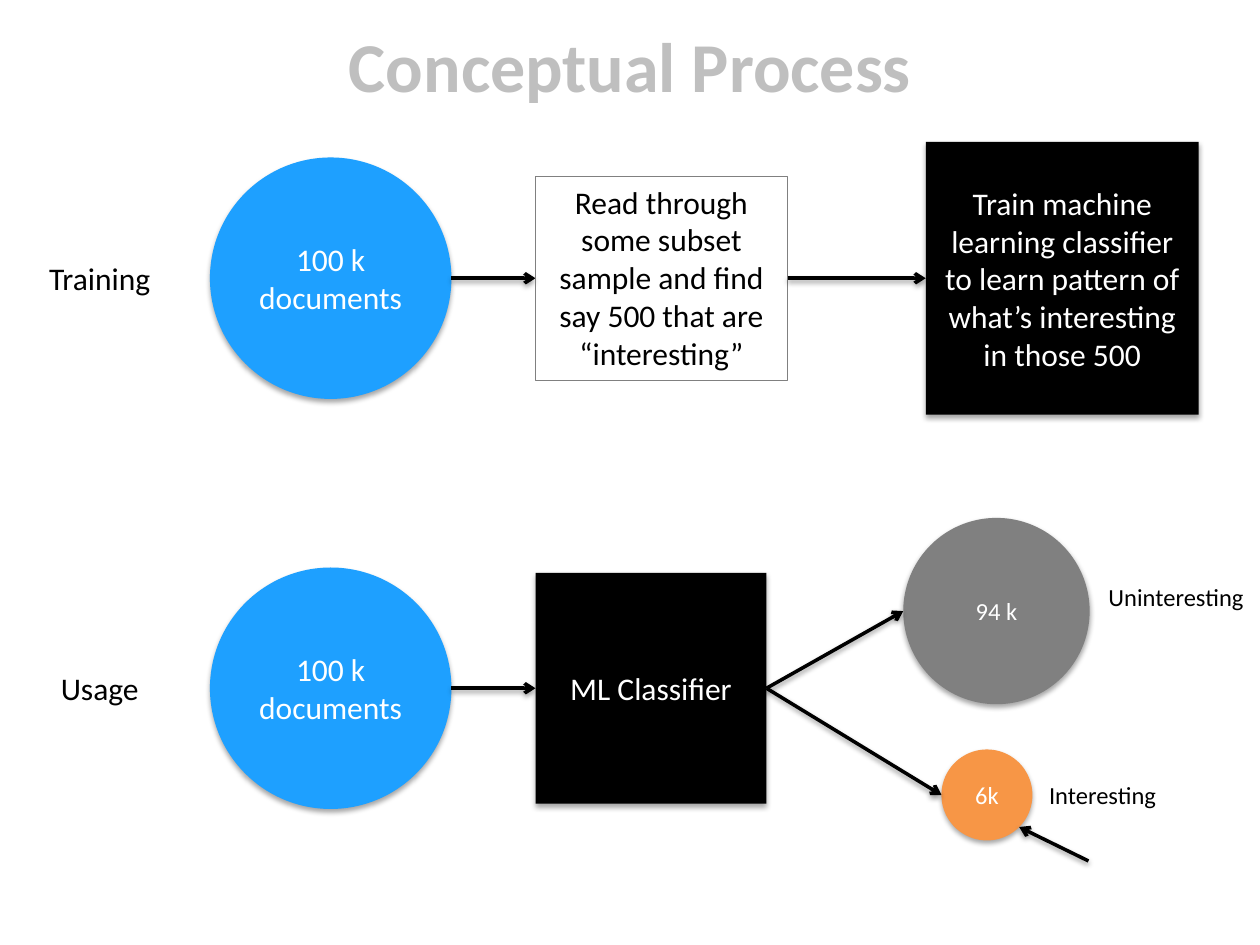
from pptx import Presentation
from pptx.dml.color import RGBColor
from pptx.enum.shapes import MSO_CONNECTOR, MSO_SHAPE
from pptx.enum.text import MSO_ANCHOR, MSO_AUTO_SIZE, PP_ALIGN
from pptx.oxml.ns import qn
from pptx.util import Pt
from lxml.etree import SubElement

COLORS = {
    "title": "BFBFBF",
    "documents": "1EA0FF",
    "uninteresting": "808080",
    "interesting": "F79646",
    "black": "000000",
    "white": "FFFFFF",
}


def rgb(name):
    return RGBColor.from_string(COLORS[name])


class ProcessSlide:
    font = "Calibri"

    def __init__(self, slide):
        self.slide = slide

    def add_text(self, shape, text, size, color, anchor=MSO_ANCHOR.MIDDLE, bold=False):
        frame = shape.text_frame
        frame.word_wrap = True
        frame.vertical_anchor = anchor
        paragraph = frame.paragraphs[0]
        paragraph.alignment = PP_ALIGN.CENTER
        run = paragraph.add_run()
        run.text = text
        run.font.name = self.font
        run.font.size = Pt(size)
        run.font.bold = bold
        run.font.color.rgb = rgb(color)

    def cast_shadow(self, effects, distance, opacity):
        shadow = SubElement(effects, qn("a:outerShdw"), blurRad=str(Pt(3.1)),
                            dist=str(Pt(distance)), dir="5400000", rotWithShape="0")
        tint = SubElement(shadow, qn("a:srgbClr"), val=COLORS["black"])
        SubElement(tint, qn("a:alpha"), val=str(opacity * 1000))

    def label(self, text, left, top, width, height, size=18, color="black",
              anchor=MSO_ANCHOR.TOP, bold=False):
        box = self.slide.shapes.add_textbox(Pt(left), Pt(top), Pt(width), Pt(height))
        self.add_text(box, text, size, color, anchor, bold)
        return box

    def node(self, kind, text, center_x, center_y, side, fill, size=18):
        shape = self.slide.shapes.add_shape(
            kind, Pt(center_x - side / 2), Pt(center_y - side / 2), Pt(side), Pt(side))
        shape.fill.solid()
        shape.fill.fore_color.rgb = rgb(fill)
        shape.line.fill.background()
        shape.shadow.inherit = False
        self.cast_shadow(shape.element.spPr.find(qn("a:effectLst")), 1.8, 35)
        self.add_text(shape, text, size, "white")

    def outlined_label(self, text, left, top, width, height):
        box = self.label(text, left, top, width, height)
        box.text_frame.auto_size = MSO_AUTO_SIZE.SHAPE_TO_FIT_TEXT
        box.line.color.rgb = rgb("uninteresting")
        box.line.width = Pt(0.75)

    def arrow(self, start, end):
        connector = self.slide.shapes.add_connector(
            MSO_CONNECTOR.STRAIGHT, *(Pt(value) for value in (*start, *end)))
        connector.line.color.rgb = rgb("black")
        connector.line.width = Pt(2)
        properties = connector.element.spPr
        SubElement(properties.find(qn("a:ln")), qn("a:tailEnd"), type="arrow")
        self.cast_shadow(SubElement(properties, qn("a:effectLst")), 1.6, 38)


def main():
    presentation = Presentation()
    presentation.slide_width, presentation.slide_height = Pt(720), Pt(540)
    process = ProcessSlide(presentation.slides.add_slide(presentation.slide_layouts[6]))
    circle, square = MSO_SHAPE.OVAL, MSO_SHAPE.RECTANGLE
    training_y, usage_y = 159, 393.3
    documents_right, step_left = 258, 306
    sample_right, training_left = 450, 529
    classifier_right = 438

    process.label("Conceptual Process", 36, 8, 648, 58, 40, "title", MSO_ANCHOR.MIDDLE, True)
    for stage, y in (("Training", training_y), ("Usage", usage_y)):
        process.label(stage, 6, y - 14.5, 102, 29)
        process.node(circle, "100 k documents", 189, y, 138, "documents")
        process.arrow((documents_right, y), (step_left, y))

    process.outlined_label(
        "Read through some subset sample and find say 500 that are “interesting”",
        step_left, 100.8, sample_right - step_left, 116.5)
    process.arrow((sample_right, training_y), (training_left, training_y))
    process.node(
        square,
        "Train machine learning classifier to learn pattern of what’s interesting in those 500",
        training_left + 78, training_y, 156, "black")

    process.node(square, "ML Classifier", 372, usage_y, 132, "black")
    outcomes = (
        ("94 k", "uninteresting", 569.4, 349.2, 106.5, "Uninteresting", 624, 329),
        ("6k", "interesting", 564, 454.3, 52, "Interesting", 582, 442),
    )
    for count, fill, x, y, diameter, caption, caption_left, caption_top in outcomes:
        process.node(circle, count, x, y, diameter, fill, 14)
        process.arrow((classifier_right, usage_y), (x - diameter / 2, y))
        process.label(caption, caption_left, caption_top, 96, 24.5, 14)
    process.arrow((622, 492), (582.4, 472.6))

    presentation.save("out.pptx")


if __name__ == "__main__":
    main()
